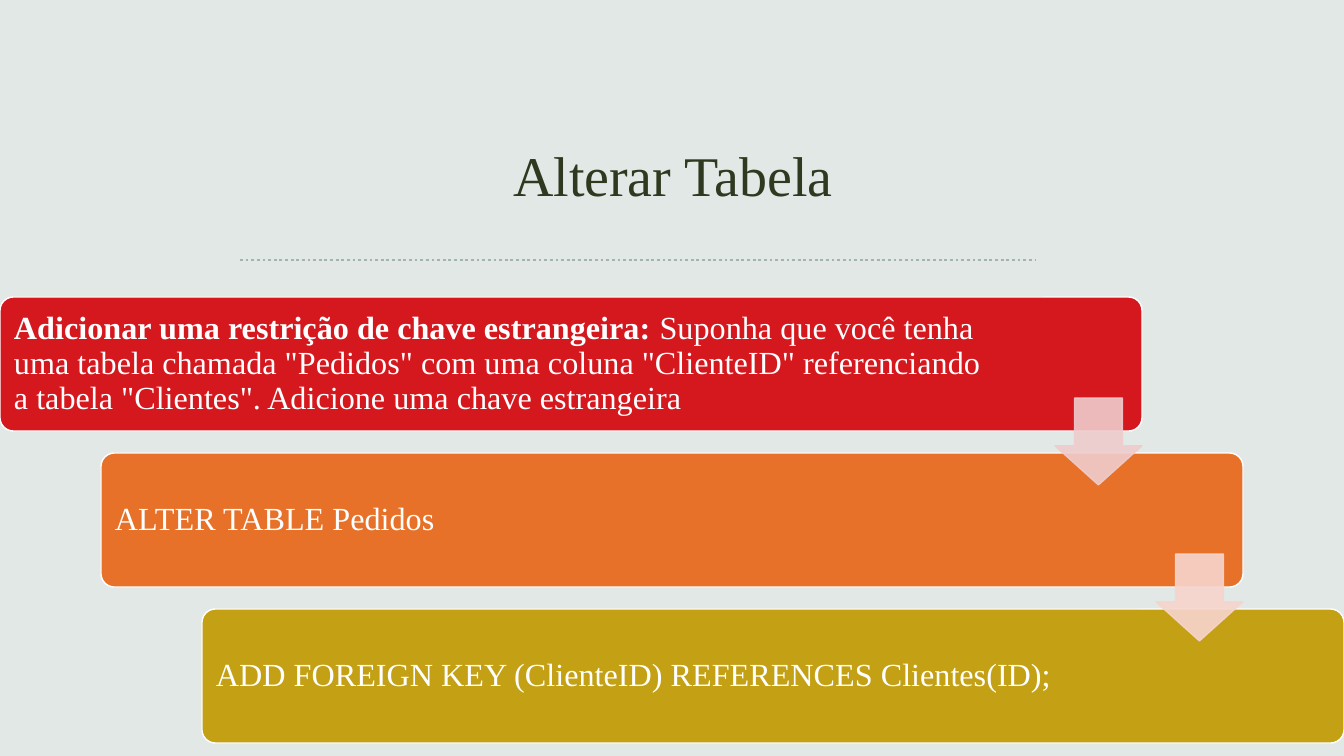
from lxml.etree import SubElement
from pptx import Presentation
from pptx.dml.color import RGBColor
from pptx.enum.dml import MSO_LINE
from pptx.enum.shapes import MSO_CONNECTOR, MSO_SHAPE
from pptx.enum.text import MSO_ANCHOR, PP_ALIGN
from pptx.oxml.ns import qn
from pptx.util import Emu, Pt

PAPER = RGBColor(0xE2, 0xE8, 0xE5)
MOSS = RGBColor(0x2E, 0x39, 0x20)
SAGE = RGBColor(0xA2, 0xB5, 0xAC)
WHITE = RGBColor(0xFF, 0xFF, 0xFF)
RED = RGBColor(0xD5, 0x17, 0x1E)
ORANGE = RGBColor(0xE7, 0x71, 0x29)
GOLD = RGBColor(0xC4, 0xA0, 0x15)
ROSE = RGBColor(0xEF, 0xCC, 0xCD)
PEACH = RGBColor(0xF6, 0xD5, 0xCD)

STEP_X, STEP_Y = 101, 156
BOX_W, BOX_H = 1142, 134


def px(*sizes):
    """Turn pixels, 1344 to the slide width, into EMU."""
    return [Emu(round(size * 914400 / 100.8)) for size in sizes]


def add_block(kind, place, fill, edge, adjust):
    block = slide.shapes.add_shape(kind, *px(*place))
    block.shadow.inherit = False
    block.fill.solid()
    block.fill.fore_color.rgb = fill
    block.line.color.rgb = edge
    block.line.width = Pt(1)
    for i, value in enumerate(adjust):
        block.adjustments[i] = value
    return block


deck = Presentation()
deck.slide_width, deck.slide_height = px(1344, 756)
slide = deck.slides.add_slide(deck.slide_layouts[5])
slide.background.fill.solid()
slide.background.fill.fore_color.rgb = PAPER

# Title and dotted rule
title = slide.shapes.title
title.left, title.top, title.width, title.height = px(106, 104, 1134, 141)
title.text_frame.text = "Alterar Tabela"
title.text_frame.vertical_anchor = MSO_ANCHOR.MIDDLE
head = title.text_frame.paragraphs[0]
head.alignment = PP_ALIGN.CENTER
for name, value in {"name": "Times New Roman", "size": Pt(40)}.items():
    setattr(head.font, name, value)
head.font.color.rgb = MOSS

rule = slide.shapes.add_connector(MSO_CONNECTOR.STRAIGHT, *px(240, 260, 1035, 260))
rule.line.color.rgb = SAGE
rule.line.width = Pt(2)
rule.line.dash_style = MSO_LINE.ROUND_DOT
SubElement(rule.element.spPr, qn("a:effectLst"))

# Staircase of steps: fill, text width, runs as (text, bold)
steps = [
    (RED, 998, [
        ("Adicionar uma restrição de chave estrangeira:", True),
        (' Suponha que você tenha uma tabela chamada "Pedidos" com uma coluna '
         '"ClienteID" referenciando a tabela "Clientes". '
         "Adicione uma chave estrangeira", False),
    ]),
    (ORANGE, 946, [("ALTER TABLE Pedidos", False)]),
    (GOLD, 946, [("ADD FOREIGN KEY (ClienteID) REFERENCES Clientes(ID);", False)]),
]
inset, = px(10)
frame_format = {
    "word_wrap": True, "vertical_anchor": MSO_ANCHOR.MIDDLE,
    "margin_left": inset, "margin_right": inset,
    "margin_top": inset, "margin_bottom": inset,
}
for i, (color, width, runs) in enumerate(steps):
    left, top = i * STEP_X, 297 + i * STEP_Y
    add_block(MSO_SHAPE.ROUNDED_RECTANGLE, (left, top, BOX_W, BOX_H),
              color, WHITE, [0.1])
    label = slide.shapes.add_textbox(*px(left + 4, top + 4, width, BOX_H - 8))
    frame = label.text_frame
    for name, value in frame_format.items():
        setattr(frame, name, value)
    line = frame.paragraphs[0]
    line.line_spacing = 0.9
    for text, bold in runs:
        run = line.add_run()
        run.text = text
        font_format = {"name": "Times New Roman", "size": Pt(23), "bold": bold}
        for name, value in font_format.items():
            setattr(run.font, name, value)
        run.font.color.rgb = WHITE

# Translucent arrows from each step to the next
for i, color in enumerate([ROSE, PEACH]):
    arrow = add_block(MSO_SHAPE.DOWN_ARROW,
                      (1055 + i * STEP_X, 398 + i * STEP_Y, 87, 87),
                      color, color, [0.55, 0.45])
    for tint in arrow.element.spPr.iter(qn("a:srgbClr")):
        SubElement(tint, qn("a:alpha"), val="90000")

deck.save("out.pptx")
